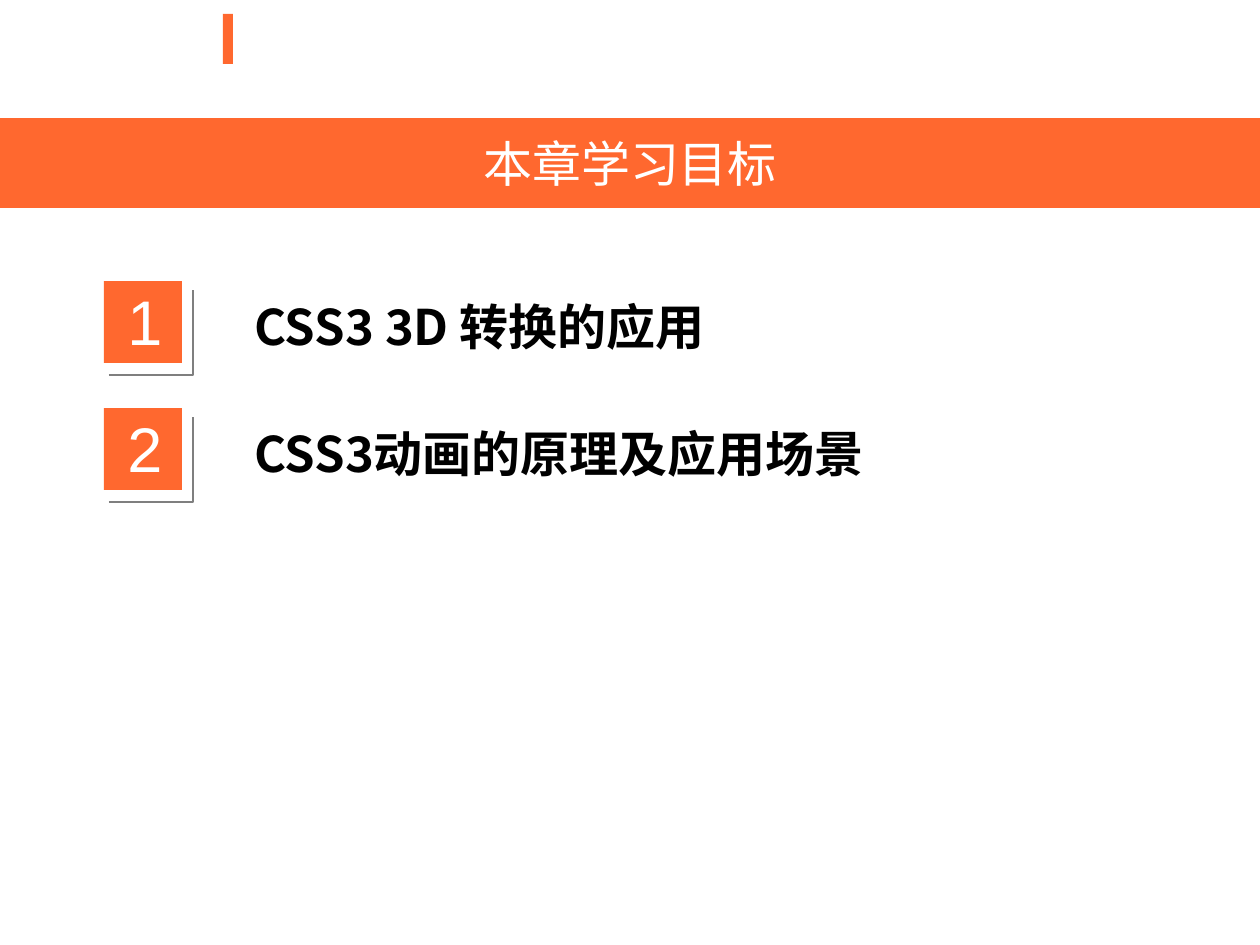
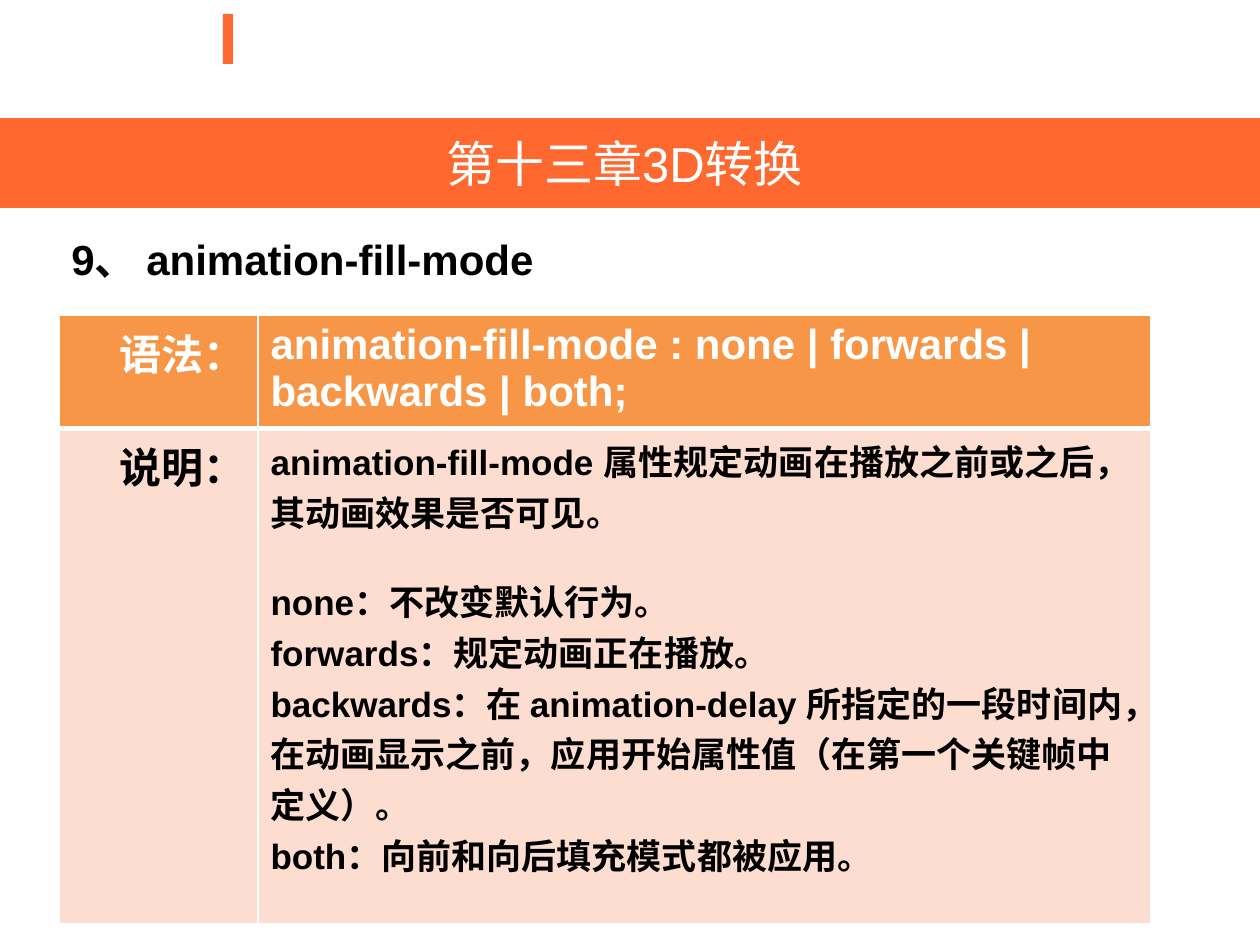
import pptx
import pptx.dml.color
import pptx.enum.shapes
import pptx.enum.text
import pptx.oxml
import pptx.oxml.ns
import pptx.util
from lxml import etree

RGB = pptx.dml.color.RGBColor
ORANGE = RGB(0xFF, 0x68, 0x2F)
AMBER = RGB(0xF7, 0x96, 0x46)
PEACH = RGB(0xFC, 0xDD, 0xCF)
GREY = RGB(0x7F, 0x7F, 0x7F)
WHITE = RGB(0xFF, 0xFF, 0xFF)
BLACK = RGB(0x00, 0x00, 0x00)
LATIN, CHINESE = "Arial", "Noto Sans CJK SC"
ALIGN = pptx.enum.text.PP_ALIGN
ANCHOR = pptx.enum.text.MSO_ANCHOR
RECTANGLE = pptx.enum.shapes.MSO_SHAPE.RECTANGLE
SCALE = 914400 / 126
PAGE_WIDTH, PAGE_HEIGHT = 1260, 945
TITLE_BAND = (0, 118, PAGE_WIDTH, 90)
MARKER = (223, 14, 10, 50)

GOALS = ["CSS3 3D 转换的应用", "CSS3动画的原理及应用场景"]
SYNTAX = "animation-fill-mode : none | forwards | backwards | both;"
EXPLANATION = [
    "animation-fill-mode 属性规定动画在播放之前或之后，其动画效果是否可见。",
    "none：不改变默认行为。",
    "forwards：规定动画正在播放。",
    "backwards：在 animation-delay 所指定的一段时间内，在动画显示之前，应用开始属性值（在第一个关键帧中定义）。",
    "both：向前和向后填充模式都被应用。",
]


def emu(*lengths):
    """Turn px lengths into EMU."""
    return [pptx.util.Emu(round(length * SCALE)) for length in lengths]


def write(frame, lines, size, color, bold=False, align=ALIGN.LEFT, font=LATIN):
    """Write one paragraph for each line into a text frame."""
    frame.word_wrap = True
    for index, line in enumerate(lines):
        para = frame.add_paragraph() if index else frame.paragraphs[0]
        para.text = line
        para.alignment = align
        para.font.name = font
        para.font.size = pptx.util.Pt(size)
        para.font.bold = bold
        para.font.color.rgb = color


def add_text(page, box, line, size, color, **style):
    """Add a text box holding one line."""
    frame = page.shapes.add_textbox(*emu(*box)).text_frame
    write(frame, [line], size, color, **style)


def add_block(page, box):
    """Add a plain orange rectangle."""
    block = page.shapes.add_shape(RECTANGLE, *emu(*box))
    block.shadow.inherit = False
    block.fill.solid()
    block.fill.fore_color.rgb = ORANGE
    block.line.fill.background()


def add_page(deck, title):
    """Add a slide with the top marker and the orange title band."""
    page = deck.slides.add_slide(deck.slide_layouts.get_by_name("Title Only"))
    add_block(page, MARKER)
    band = page.shapes.title
    band.left, band.top, band.width, band.height = emu(*TITLE_BAND)
    band.fill.solid()
    band.fill.fore_color.rgb = ORANGE
    band.text_frame.auto_size = pptx.enum.text.MSO_AUTO_SIZE.NONE
    band.text_frame.vertical_anchor = ANCHOR.MIDDLE
    write(band.text_frame, [title], 28, WHITE, align=ALIGN.CENTER)
    return page


def add_goal(page, box, number, goal):
    """Add a numbered square with its corner line and the goal beside it."""
    left, top, width, height = box
    add_block(page, (left, top, 78, 82))
    add_text(page, (left + 11, top - 5, 64, 90), str(number), 36, WHITE)
    builder = page.shapes.build_freeform(left + 5, top + 94, scale=SCALE)
    builder.add_line_segments([(left + 89, top + 94), (left + 89, top + 9)], close=False)
    corner = builder.convert_to_shape()
    corner.shadow.inherit = False
    corner.fill.background()
    corner.line.color.rgb = GREY
    corner.line.width = pptx.util.Pt(1)
    add_text(page, (left + 138, top + 9, width - 138, height), goal, 28, BLACK,
             bold=True, font=CHINESE)


def add_goals(page, box):
    """Stack the goals at an equal pitch."""
    left, top, width, pitch = box
    for index, goal in enumerate(GOALS):
        add_goal(page, (left, top + index * pitch, width, 72), index + 1, goal)


def set_border(cell, side, points):
    """Give one side of a cell a white line."""
    line = etree.SubElement(cell._tc.get_or_add_tcPr(), pptx.oxml.ns.qn(f"a:ln{side}"),
                            w=str(pptx.util.Pt(points)))
    fill = etree.SubElement(line, pptx.oxml.ns.qn("a:solidFill"))
    etree.SubElement(fill, pptx.oxml.ns.qn("a:srgbClr"), val=str(WHITE))


def add_property_table(page, box):
    """Add the table of syntax and explanation."""
    table = page.shapes.add_table(2, 2, *emu(*box)).table
    table.horz_banding = False
    for column, width in zip(table.columns, emu(199, box[2] - 199)):
        column.width = width
    for row, height in zip(table.rows, emu(113, box[3] - 113)):
        row.height = height
    rows = [("语法：", [SYNTAX], 24, WHITE, AMBER, {"T": 1, "B": 3}),
            ("说明：", EXPLANATION, 20, BLACK, PEACH, {"T": 3, "B": 1})]
    for index, (label, lines, size, color, fill, edges) in enumerate(rows):
        name, value = table.cell(index, 0), table.cell(index, 1)
        write(name.text_frame, [label], 24, color, bold=True, align=ALIGN.RIGHT)
        write(value.text_frame, lines, size, color, bold=True)
        for cell in (name, value):
            for side, points in ({"L": 1, "R": 1} | edges).items():
                set_border(cell, side, points)
            cell.fill.solid()
            cell.fill.fore_color.rgb = fill
    value.text_frame.paragraphs[1].space_before = pptx.util.Pt(22)


def main():
    """Build the deck and save it."""
    deck = pptx.Presentation()
    deck.slide_width, deck.slide_height = emu(PAGE_WIDTH, PAGE_HEIGHT)
    add_goals(add_page(deck, "本章学习目标"), (104, 281, 1107, 127))
    page = add_page(deck, "第十三章3D转换 ")
    add_text(page, (59, 227, 1142, 63), "9、 animation-fill-mode", 24, BLACK, bold=True)
    add_property_table(page, (59, 315, 1092, 608))
    deck.save("out.pptx")


if __name__ == "__main__":
    main()
